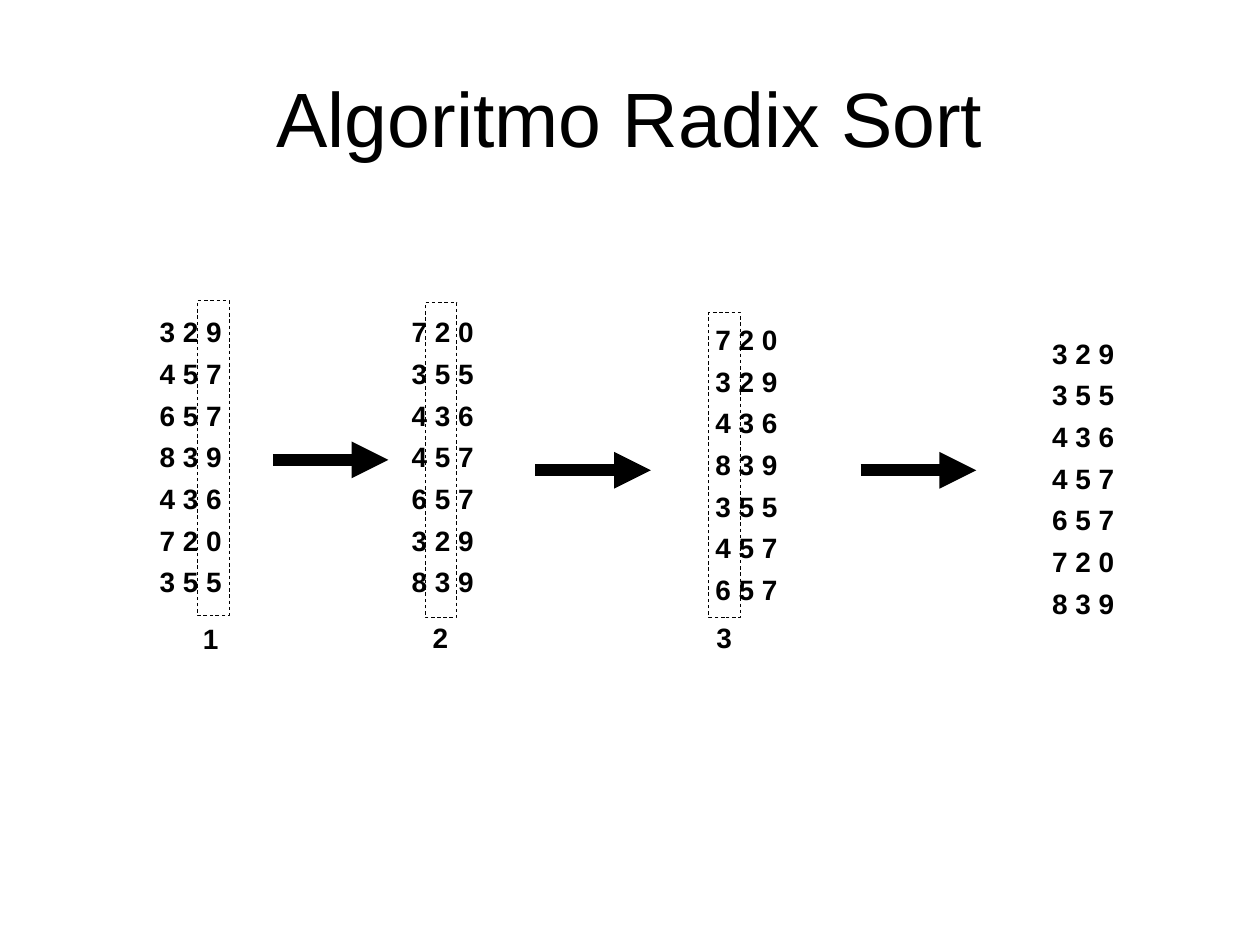
from pptx import Presentation
from pptx.dml.color import RGBColor
from pptx.enum.dml import MSO_LINE
from pptx.enum.shapes import MSO_CONNECTOR, MSO_SHAPE
from pptx.enum.text import MSO_ANCHOR, MSO_AUTO_SIZE, PP_ALIGN
from pptx.oxml.ns import qn
from pptx.util import Cm, Pt
from lxml import etree

STRAIGHT = MSO_CONNECTOR.STRAIGHT
RECTANGLE = MSO_SHAPE.RECTANGLE
DASH = MSO_LINE.DASH
MIDDLE = MSO_ANCHOR.MIDDLE
FIT_SHAPE = MSO_AUTO_SIZE.SHAPE_TO_FIT_TEXT
CENTER = PP_ALIGN.CENTER

TITLE_ONLY = 5
ROW_PITCH = 0.84
TEXT_HEIGHT = 0.94
NUMBER_WIDTH = 1.8
LABEL_WIDTH = 0.82
DIGIT_BOX_WIDTH = 0.64
ARROW_LENGTH = 2.33

# left, top, numbers from top to bottom
COLUMNS = [
    (2.97, 6.22, [329, 457, 657, 839, 436, 720, 355]),
    (8.05, 6.22, [720, 355, 436, 457, 657, 329, 839]),
    (14.17, 6.38, [720, 329, 436, 839, 355, 457, 657]),
    (20.96, 6.65, [329, 355, 436, 457, 657, 720, 839]),
]
# left, top, height of the box around the sorted digit; left, top of its label
PASSES = [
    (3.98, 6.06, 6.35, 3.84, 12.4),
    (8.57, 6.1, 6.35, 8.47, 12.38),
    (14.29, 6.3, 6.15, 14.19, 12.38),
]
# left, height on the slide
ARROWS = [(5.5, 9.27), (10.79, 9.48), (17.35, 9.48)]


def color(hex_string):
    return RGBColor.from_string(hex_string)


class SlideBuilder:
    font = "Arial"
    ink = "000000"

    def __init__(self, slide):
        self.s = slide

    def run(self, p, text, size, bold=False):
        r = p.add_run()
        r.text = text
        r.font.name = self.font
        r.font.size = Pt(size)
        r.font.bold = bold
        r.font.color.rgb = color(self.ink)

    def title(self, text, left, top, width, height):
        sp = self.s.shapes.title
        sp.left, sp.top, sp.width, sp.height = map(Cm, (left, top, width, height))
        tf = sp.text_frame
        tf.vertical_anchor = MIDDLE
        p = tf.paragraphs[0]
        p.alignment = CENTER
        self.run(p, text, 44)

    def text(self, text, left, top, width):
        sp = self.s.shapes.add_textbox(Cm(left), Cm(top), Cm(width), Cm(TEXT_HEIGHT))
        tf = sp.text_frame
        tf.word_wrap = False
        tf.auto_size = FIT_SHAPE
        self.run(tf.paragraphs[0], text, 16, bold=True)

    def digit_box(self, left, top, height):
        sp = self.s.shapes.add_shape(
            RECTANGLE, Cm(left), Cm(top), Cm(DIGIT_BOX_WIDTH), Cm(height))
        sp.shadow.inherit = False
        sp.fill.background()
        sp.line.color.rgb = color(self.ink)
        sp.line.width = Pt(0.5)
        sp.line.dash_style = DASH

    def arrow(self, left, y):
        cxn = self.s.shapes.add_connector(
            STRAIGHT, Cm(left), Cm(y), Cm(left + ARROW_LENGTH), Cm(y))
        cxn.line.color.rgb = color(self.ink)
        cxn.line.width = Pt(7)
        ln = cxn._element.spPr.find(qn("a:ln"))
        etree.SubElement(ln, qn("a:tailEnd"), type="triangle")
        etree.SubElement(cxn._element.spPr, qn("a:effectLst"))


def main():
    prs = Presentation()
    prs.slide_width, prs.slide_height = Cm(25.4), Cm(19.05)
    slide = SlideBuilder(prs.slides.add_slide(prs.slide_layouts[TITLE_ONLY]))

    slide.title("Algoritmo Radix Sort", 1.27, 0.76, 22.86, 3.18)
    for left, top, numbers in COLUMNS:
        for row, number in enumerate(numbers):
            slide.text(" ".join(str(number)), left, top + row * ROW_PITCH, NUMBER_WIDTH)
    for left, y in ARROWS:
        slide.arrow(left, y)
    for step, (left, top, height, label_left, label_top) in enumerate(PASSES, 1):
        slide.digit_box(left, top, height)
        slide.text(str(step), label_left, label_top, LABEL_WIDTH)

    prs.save("out.pptx")


if __name__ == "__main__":
    main()
